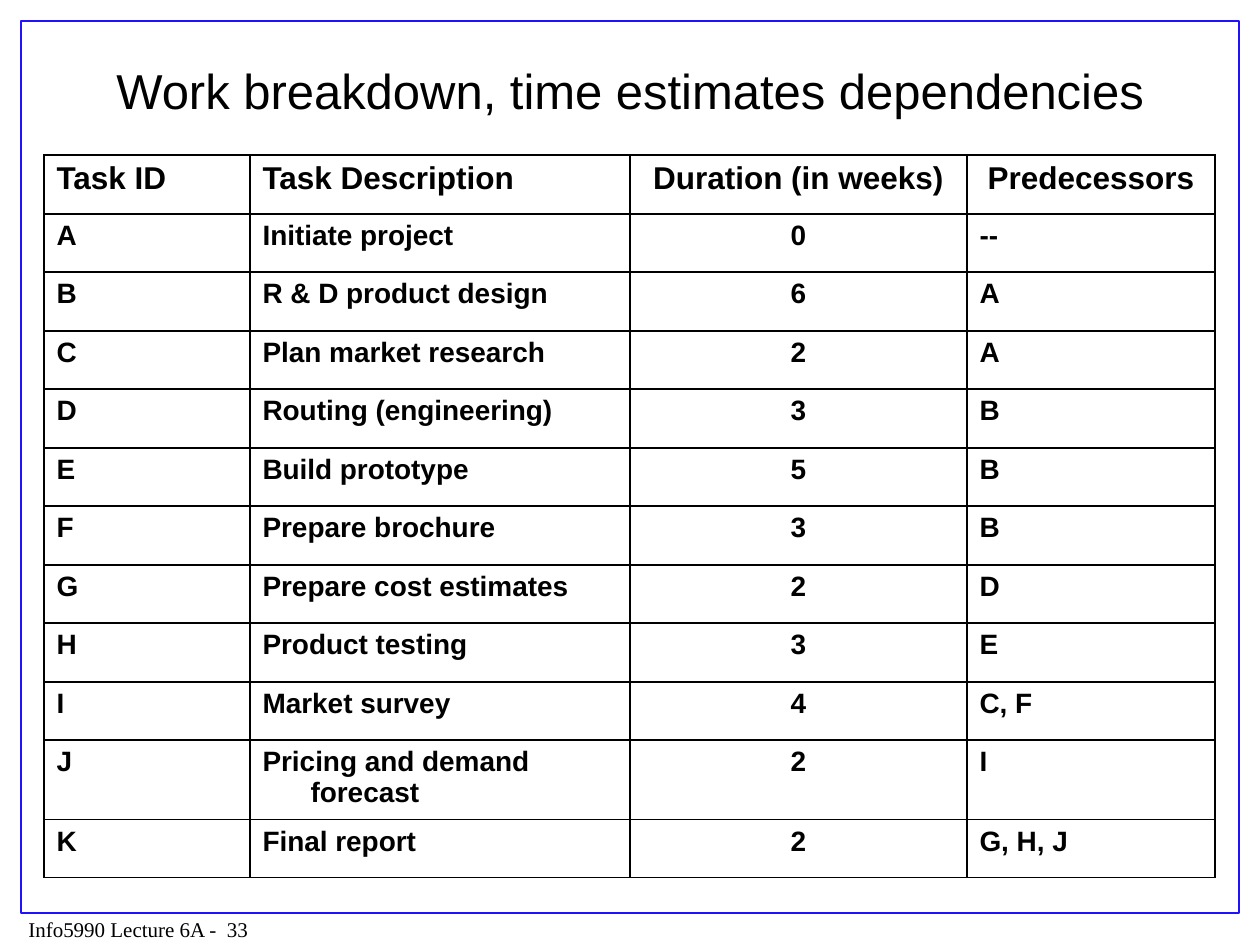
from dataclasses import dataclass
from typing import NamedTuple

from lxml.etree import SubElement
from pptx import Presentation
from pptx.dml.color import RGBColor
from pptx.enum.shapes import MSO_SHAPE as Preset
from pptx.enum.text import MSO_ANCHOR as Anchor, MSO_AUTO_SIZE as AutoSize, PP_ALIGN as Align
from pptx.oxml.ns import qn
from pptx.util import Emu, Pt

EMU_PER_INCH = 914400
PX_PER_INCH = 126


def px(count: int) -> Emu:
    return Emu(round(count * EMU_PER_INCH / PX_PER_INCH))


@dataclass(frozen=True)
class Theme:
    ink: RGBColor = RGBColor(0, 0, 0)
    frame: RGBColor = RGBColor(0x22, 0x11, 0xFD)
    frame_width: float = 1.5
    grid_width: float = 1
    sans: str = "Arial"
    serif: str = "Times New Roman"
    title_size: int = 28
    header_size: int = 18
    body_size: int = 16
    footer_size: int = 12


THEME = Theme()


class Box(NamedTuple):
    left: int
    top: int
    width: int
    height: int

    def emu(self) -> list[Emu]:
        return [px(length) for length in self]


class Task(NamedTuple):
    task_id: str
    description: str
    duration: str
    predecessors: str


class Column(NamedTuple):
    width: int
    header_align: Align
    body_align: Align


TITLE_BOX = Box(54, 45, 1152, 90)
FOOTER_BOX = Box(16, 910, 355, 38)
FRAME_BOX = Box(21, 21, 1218, 892)
TABLE_BOX = Box(44, 155, 1171, 718)
HANGING_INDENT = 48

COLUMNS = [
    Column(206, Align.LEFT, Align.LEFT),
    Column(380, Align.LEFT, Align.LEFT),
    Column(337, Align.CENTER, Align.CENTER),
    Column(248, Align.CENTER, Align.LEFT),
]
HEADER = Task("Task ID", "Task Description", "Duration (in weeks)", "Predecessors")
TASKS = [
    Task("A", "Initiate project", "0", "--"),
    Task("B", "R & D product design", "6", "A"),
    Task("C", "Plan market research", "2", "A"),
    Task("D", "Routing (engineering)", "3", "B"),
    Task("E", "Build prototype", "5", "B"),
    Task("F", "Prepare brochure", "3", "B"),
    Task("G", "Prepare cost estimates", "2", "D"),
    Task("H", "Product testing", "3", "E"),
    Task("I", "Market survey", "4", "C, F"),
    Task("J", "Pricing and demand forecast", "2", "I"),
    Task("K", "Final report", "2", "G, H, J"),
]
# The J row starts low and grows to hold its two lines.
ROW_HEIGHTS = [59, *[58, 59] * 4, 58, 54, 58]


def add_run(paragraph, text: str, font_name: str, size: int, bold: bool = False) -> None:
    run = paragraph.add_run()
    run.text = text
    run.font.name = font_name
    run.font.size = Pt(size)
    run.font.bold = bold
    run.font.color.rgb = THEME.ink


def add_label(slide, box: Box, text: str, font_name: str, size: int,
              align: Align = Align.LEFT, anchor: Anchor = Anchor.TOP,
              auto_size: AutoSize = AutoSize.NONE) -> None:
    frame = slide.shapes.add_textbox(*box.emu()).text_frame
    frame.word_wrap = True
    frame.auto_size = auto_size
    frame.vertical_anchor = anchor
    paragraph = frame.paragraphs[0]
    paragraph.alignment = align
    add_run(paragraph, text, font_name, size)


def add_frame(slide) -> None:
    shape = slide.shapes.add_shape(Preset.RECTANGLE, *FRAME_BOX.emu())
    shape.shadow.inherit = False
    shape.fill.background()
    shape.line.color.rgb = THEME.frame
    shape.line.width = Pt(THEME.frame_width)


def set_borders(cell) -> None:
    properties = cell._tc.get_or_add_tcPr()
    for side in ("lnL", "lnR", "lnT", "lnB"):
        line = SubElement(properties, qn(f"a:{side}"), w=str(Pt(THEME.grid_width)))
        fill = SubElement(line, qn("a:solidFill"))
        SubElement(fill, qn("a:srgbClr"), val=str(THEME.ink))


def fill_cell(cell, text: str, size: int, align: Align) -> None:
    set_borders(cell)
    cell.fill.background()
    paragraph = cell.text_frame.paragraphs[0]
    paragraph.alignment = align
    properties = paragraph._p.get_or_add_pPr()
    properties.set("marL", str(px(HANGING_INDENT)))
    properties.set("indent", str(px(-HANGING_INDENT)))
    add_run(paragraph, text, THEME.sans, size, bold=True)


def add_task_table(slide) -> None:
    table = slide.shapes.add_table(len(TASKS) + 1, len(COLUMNS), *TABLE_BOX.emu()).table
    table.first_row = False
    table.horz_banding = False
    for table_column, column in zip(table.columns, COLUMNS):
        table_column.width = px(column.width)
    for table_row, height in zip(table.rows, ROW_HEIGHTS):
        table_row.height = px(height)
    for row, task in enumerate([HEADER, *TASKS]):
        is_header = row == 0
        size = THEME.header_size if is_header else THEME.body_size
        for index, (column, text) in enumerate(zip(COLUMNS, task)):
            align = column.header_align if is_header else column.body_align
            fill_cell(table.cell(row, index), text, size, align)


def main() -> None:
    presentation = Presentation()
    presentation.slide_width = px(1260)
    presentation.slide_height = px(945)
    slide = presentation.slides.add_slide(presentation.slide_layouts[6])
    add_label(slide, FOOTER_BOX, "Info5990 Lecture 6A -  33", THEME.serif,
              THEME.footer_size, auto_size=AutoSize.SHAPE_TO_FIT_TEXT)
    add_frame(slide)
    add_label(slide, TITLE_BOX, "Work breakdown, time estimates dependencies", THEME.sans,
              THEME.title_size, align=Align.CENTER, anchor=Anchor.MIDDLE)
    add_task_table(slide)
    presentation.save("out.pptx")


if __name__ == "__main__":
    main()
